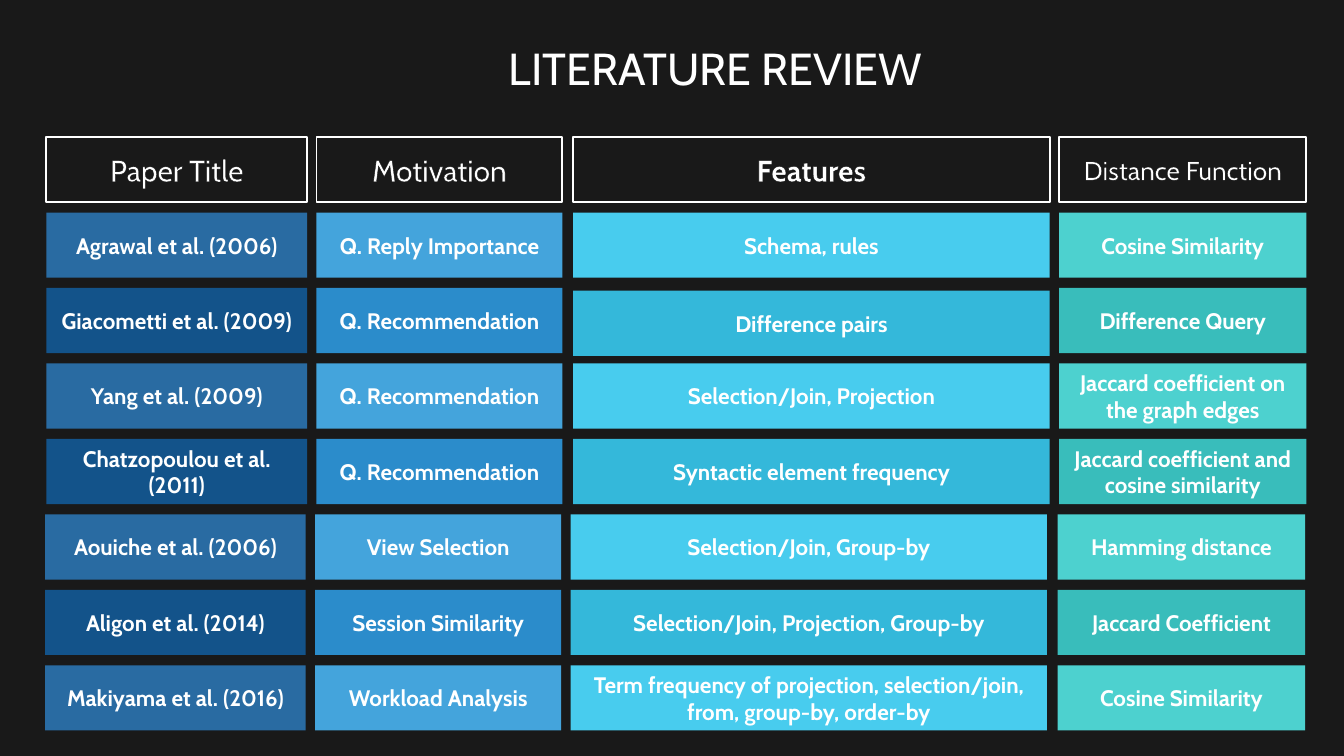
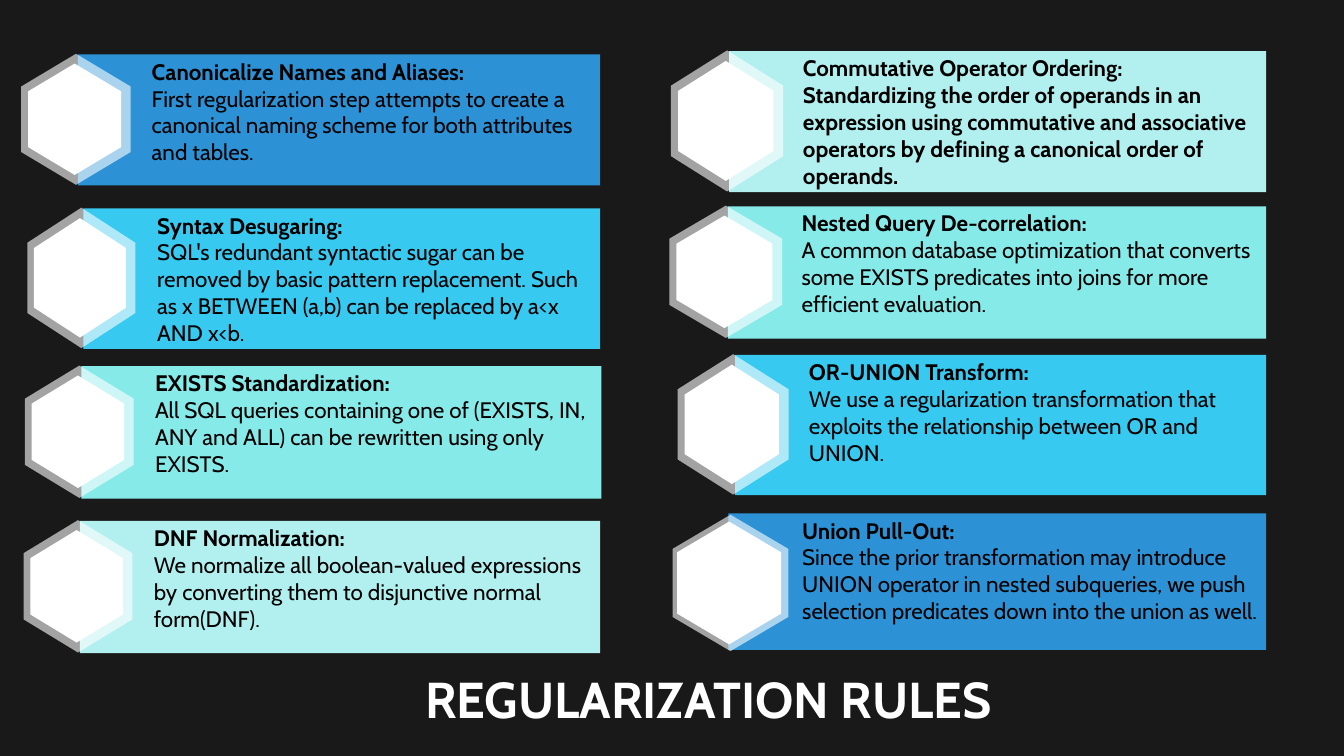
import pptx
import pptx.dml.color
import pptx.enum.shapes
import pptx.enum.text
import pptx.oxml
import pptx.oxml.ns
import pptx.util
from lxml import etree

Inches = pptx.util.Inches
Pt = pptx.util.Pt
ALIGN = pptx.enum.text.PP_ALIGN
ANCHOR = pptx.enum.text.MSO_ANCHOR
RECTANGLE = pptx.enum.shapes.MSO_SHAPE.RECTANGLE

COLORS = {
    "background": "191919", "white": "FFFFFF", "black": "000000",
    "blue": "2C92D5", "cyan": "37C9EF", "aqua": "86EAE9", "mint": "B2F0EF",
}
FORMATS = {
    "title": {"name": "Cabin", "size": Pt(48)},
    "strong_title": {"name": "Cabin", "size": Pt(54), "bold": True},
    "cell": {"name": "Cabin", "size": Pt(24), "bold": True},
    "body": {"name": "Cabin", "size": Pt(24), "bold": False},
}

# Literature table: name, left, width, light and dark fill, shift of late rows
COLUMNS = [
    ("Paper Title", 0.69, 3.88, "296BA2", "13538A", 0.02),
    ("Motivation", 4.71, 3.66, "44A4DC", "2B8CCB", 0.02),
    ("Features", 8.53, 7.09, "48CCEE", "34B8DA", 0.04),
    ("Distance Function", 15.76, 3.68, "4DD1CF", "39BDBB", 0.02),
]
HEADER_FORMATS = {
    "Features": {"bold": True},
    "Distance Function": {"size": Pt(28)},
}
PAPERS = [
    ("Agrawal et al. (2006)", "Q. Reply Importance", "Schema, rules",
     "Cosine Similarity"),
    ("Giacometti et al. (2009)", "Q. Recommendation", "Difference pairs",
     "Difference Query"),
    ("Yang et al. (2009)", "Q. Recommendation", "Selection/Join, Projection",
     "Jaccard coefficient on the graph edges"),
    ("Chatzopoulou et al. (2011)", "Q. Recommendation",
     "Syntactic element frequency",
     "Jaccard coefficient and cosine similarity"),
    ("Aouiche et al. (2006)", "View Selection", "Selection/Join, Group-by",
     "Hamming distance"),
    ("Aligon et al. (2014)", "Session Similarity",
     "Selection/Join, Projection, Group-by", "Jaccard Coefficient"),
    ("Makiyama et al. (2016)", "Workload Analysis",
     "Term frequency of projection, selection/join, from, group-by, order-by",
     "Cosine Similarity"),
]
HEADER_TOP, LAST_TOP, CELL_HEIGHT = 2.04, 9.9, 0.97
FIRST_LATE_ROW = 5
TOP_SHIFTS = {("Features", 2): 0.04}

# Rule cards: box, hexagon width, fill, heading, explanation
RULES = [
    ((1.16, 0.81, 7.77, 1.95), 1.63, "blue", "Canonicalize Names and Aliases:",
     "First regularization step attempts to create a canonical naming scheme "
     "for both attributes and tables."),
    ((1.24, 3.1, 7.69, 2.09), 1.61, "cyan", "Syntax Desugaring:",
     "SQL's redundant syntactic sugar can be removed by basic pattern "
     "replacement. Such as x BETWEEN (a,b) can be replaced by a<x AND x<b."),
    ((1.21, 5.45, 7.74, 1.97), 1.62, "aqua", "EXISTS Standardization:",
     "All SQL queries containing one of (EXISTS, IN, ANY and ALL) can be "
     "rewritten using only EXISTS."),
    ((1.19, 7.75, 7.74, 1.97), 1.62, "mint", "DNF Normalization:",
     "We normalize all boolean-valued expressions by converting them to "
     "disjunctive normal form(DNF)."),
    ((10.85, 0.76, 7.99, 2.1), 1.67, "mint", "Commutative Operator Ordering:",
     "Standardizing the order of operands in an expression using commutative "
     "and associative operators by defining a canonical order of operands."),
    ((10.83, 3.07, 8.01, 1.97), 1.68, "aqua", "Nested Query De-correlation:",
     "A common database optimization that converts some EXISTS predicates "
     "into joins for more efficient evaluation."),
    ((10.94, 5.28, 7.9, 2.09), 1.65, "cyan", "OR-UNION Transform:",
     "We use a regularization transformation that exploits the relationship "
     "between OR and UNION."),
    ((10.84, 7.64, 8, 2.03), 1.72, "blue", "Union Pull-Out:",
     "Since the prior transformation may introduce UNION operator in nested "
     "subqueries, we push selection predicates down into the union as well."),
]
BOLD_EXPLANATIONS = {"Commutative Operator Ordering:"}
# Hexagon offsets from the card's left middle, and scale of the inner one
HEXAGON = {"across": -0.03, "down": -0.01, "inner_scale": 0.85,
           "inner_across": -0.02}
HEXAGON_CHANGES = {
    "Union Pull-Out:": {"across": 0.03, "down": 0.02, "inner_scale": 0.9},
}


class Deck:
    """Holds the shared style and the current slide."""

    def __init__(self):
        self.presentation = pptx.Presentation()
        self.presentation.slide_width = Inches(20)
        self.presentation.slide_height = Inches(11.25)
        self.slide = None

    def color(self, name):
        return pptx.dml.color.RGBColor.from_string(COLORS.get(name, name))

    def paint(self, fill, color):
        fill.solid()
        fill.fore_color.rgb = self.color(color)

    def new_slide(self):
        layout = self.presentation.slide_layouts[6]
        self.slide = self.presentation.slides.add_slide(layout)
        self.paint(self.slide.background.fill, "background")

    def add_text(self, paragraph, text, values, color="white"):
        run = paragraph.add_run()
        run.text = text
        for name, value in values.items():
            setattr(run.font, name, value)
        run.font.color.rgb = self.color(color)
        return run

    def title(self, text, box, style, wrap=True):
        shape = self.slide.shapes.add_textbox(*map(Inches, box))
        frame = shape.text_frame
        frame.word_wrap = wrap
        frame.auto_size = pptx.enum.text.MSO_AUTO_SIZE.SHAPE_TO_FIT_TEXT
        paragraph = frame.paragraphs[0]
        paragraph.alignment = ALIGN.CENTER
        self.add_text(paragraph, text, FORMATS[style])

    def finish(self, shape, fill):
        shape.shadow.inherit = False
        self.paint(shape.fill, fill)
        shape.line.fill.background()

    def rectangle(self, shapes, box, fill, anchor):
        shape = shapes.add_shape(RECTANGLE, *map(Inches, box))
        self.finish(shape, fill)
        shape.text_frame.word_wrap = True
        shape.text_frame.vertical_anchor = anchor
        return shape

    def cell(self, shapes, box, fill, text, values):
        shape = self.rectangle(shapes, box, fill, ANCHOR.MIDDLE)
        paragraph = shape.text_frame.paragraphs[0]
        paragraph.alignment = ALIGN.CENTER
        return shape, self.add_text(paragraph, text, values)

    def header(self, shapes, box, text):
        values = {**FORMATS["body"], "size": Pt(32),
                  **HEADER_FORMATS.get(text, {})}
        shape, run = self.cell(shapes, box, "background", text, values)
        shape.line.color.rgb = self.color("white")
        shape.line.width = Pt(2)
        # Thin black outline around the letters
        outline = pptx.oxml.parse_xml(
            f'<a:ln {pptx.oxml.ns.nsdecls("a")} w="{Pt(0.75)}"><a:solidFill>'
            f'<a:srgbClr val="{COLORS["black"]}"/></a:solidFill></a:ln>')
        run._r.get_or_add_rPr().insert(0, outline)

    def hexagon(self, shapes, center, length, width, opacity=None):
        """Draws a flat hexagon and turns it to stand on a corner."""
        left, top = center[0] - length / 2, center[1] - width / 2
        corners = [(0.25, 0), (0.75, 0), (1, 0.5), (0.75, 1), (0.25, 1), (0, 0.5)]
        points = [(Inches(left + x * length), Inches(top + y * width))
                  for x, y in corners]
        builder = shapes.build_freeform(*points[0])
        builder.add_line_segments(points[1:], close=True)
        shape = builder.convert_to_shape()
        shape.rotation = 90
        self.finish(shape, "white")
        if opacity:
            tag = pptx.oxml.ns.qn("a:srgbClr")
            color = next(shape._element.spPr.iter(tag))
            alpha = etree.SubElement(color, pptx.oxml.ns.qn("a:alpha"))
            alpha.set("val", str(opacity * 1000))

    def rule_card(self, box, width, fill, heading, explanation):
        shapes = self.slide.shapes.add_group_shape().shapes
        card = self.rectangle(shapes, box, fill, ANCHOR.TOP)
        frame = card.text_frame
        explanation_format = "cell" if heading in BOLD_EXPLANATIONS else "body"
        lines = [(frame.paragraphs[0], heading, "cell"),
                 (frame.add_paragraph(), explanation, explanation_format)]
        for paragraph, text, style in lines:
            paragraph.alignment = ALIGN.LEFT
            paragraph.level = 2
            properties = paragraph._p.get_or_add_pPr()
            properties.set("marL", str(Inches(1)))
            properties.set("indent", "0")
            self.add_text(paragraph, text, FORMATS[style], "black")

        # Translucent rim and white centre
        place = {**HEXAGON, **HEXAGON_CHANGES.get(heading, {})}
        left, top, _, height = box
        x, y = left + place["across"], top + height / 2 + place["down"]
        scale = place["inner_scale"]
        self.hexagon(shapes, (x, y), height, width, opacity=60)
        self.hexagon(shapes, (x + place["inner_across"], y),
                     height * scale, width * scale)


def literature_review(deck):
    deck.new_slide()
    pitch = (LAST_TOP - HEADER_TOP) / len(PAPERS)
    for index, (name, left, width, light, dark, shift) in enumerate(COLUMNS):
        shapes = deck.slide.shapes.add_group_shape().shapes
        deck.header(shapes, (left, HEADER_TOP, width, CELL_HEIGHT), name)
        for row, paper in enumerate(PAPERS, start=1):
            cell_left = left - shift if row >= FIRST_LATE_ROW else left
            top = HEADER_TOP + row * pitch + TOP_SHIFTS.get((name, row), 0)
            deck.cell(shapes, (cell_left, top, width, CELL_HEIGHT),
                      light if row % 2 else dark, paper[index], FORMATS["cell"])
    deck.title("LITERATURE REVIEW", (7.08, 0.56, 7.13, 0.91), "title", wrap=False)


def regularization_rules(deck):
    deck.new_slide()
    for rule in RULES:
        deck.rule_card(*rule)
    deck.title("REGULARIZATION RULES", (5.58, 9.9, 9.92, 1.01), "strong_title")


def main():
    deck = Deck()
    literature_review(deck)
    regularization_rules(deck)
    deck.presentation.save("out.pptx")


if __name__ == "__main__":
    main()
